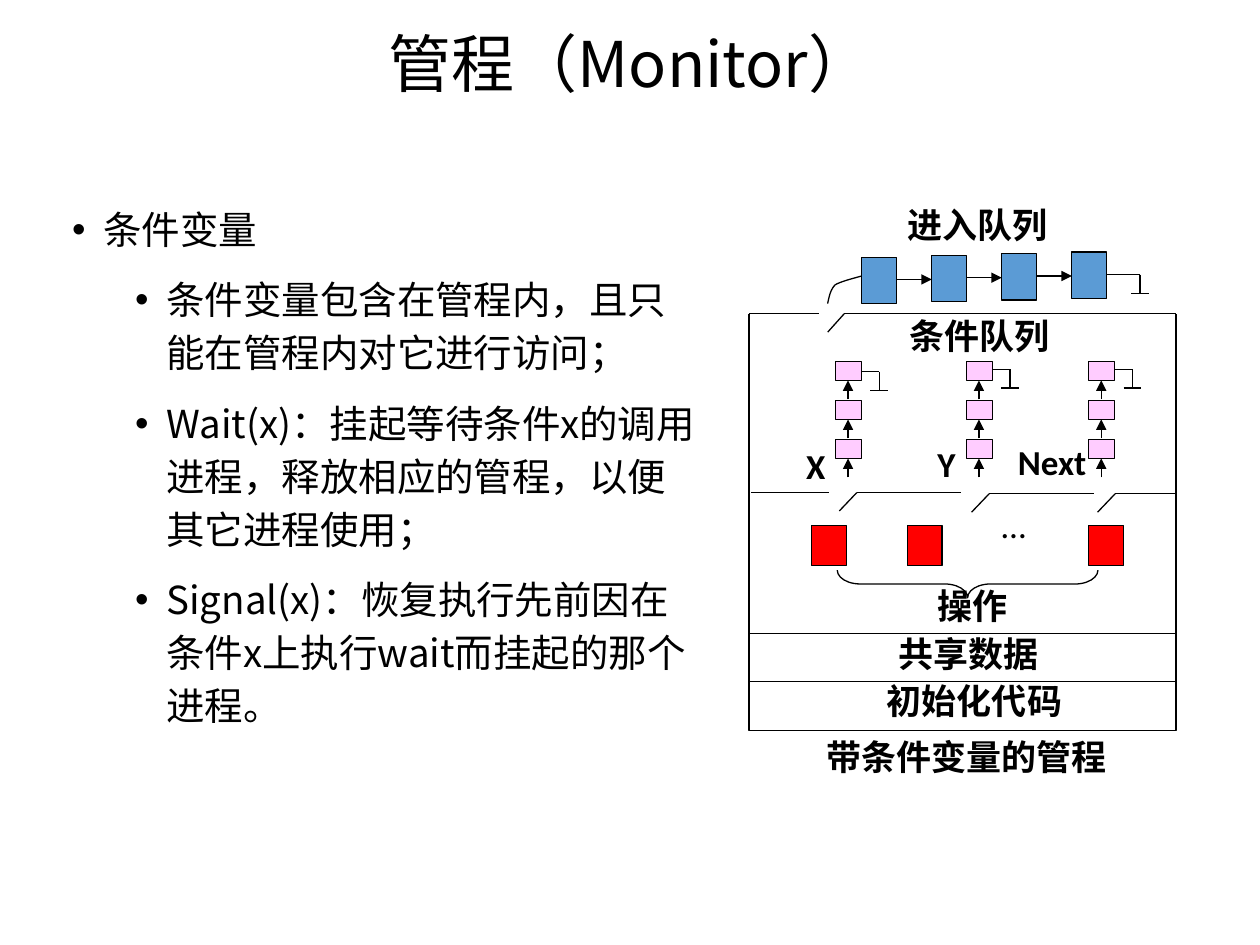
from lxml import etree
from pptx import Presentation
from pptx.dml.color import RGBColor
from pptx.enum.shapes import MSO_CONNECTOR, MSO_SHAPE
from pptx.enum.text import MSO_ANCHOR, MSO_AUTO_SIZE, PP_ALIGN
from pptx.oxml.ns import qn
from pptx.util import Pt

STRAIGHT = MSO_CONNECTOR.STRAIGHT
RECT, BRACE = MSO_SHAPE.RECTANGLE, MSO_SHAPE.RIGHT_BRACE
LEFT, CENTER = PP_ALIGN.LEFT, PP_ALIGN.CENTER
TOP, MIDDLE = MSO_ANCHOR.TOP, MSO_ANCHOR.MIDDLE
NO_FIT = MSO_AUTO_SIZE.NONE

BLACK = RGBColor(0, 0, 0)
BLUE = RGBColor(0x5B, 0x9B, 0xD5)
PINK = RGBColor(0xFF, 0xCC, 0xFF)
RED = RGBColor(0xFF, 0, 0)
CJK = "Noto Sans CJK SC"

BULLETS = [
    (0, "条件变量"),
    (1, "条件变量包含在管程内，且只能在管程内对它进行访问；"),
    (1, "Wait(x)：挂起等待条件x的调用进程，释放相应的管程，以便其它进程使用；"),
    (1, "Signal(x)：恢复执行先前因在条件x上执行wait而挂起的那个进程。"),
]
# text, left, top, width, alignment, bold
LABELS = [
    ("进入队列", 83.2, 0, 104.4, LEFT, True),
    ("条件队列", 69.5, 63.4, 124.6, CENTER, True),
    ("X", 25.6, 137.6, 29.5, LEFT, True),
    ("Y", 100.5, 136.1, 29.5, LEFT, True),
    ("Next", 146.6, 135.4, 64.8, LEFT, True),
    ("…", 137.2, 171.4, 39.6, LEFT, False),
    ("操作", 100.5, 217.5, 59.8, LEFT, True),
    ("共享数据", 78.2, 244.8, 109.4, LEFT, True),
    ("初始化代码", 71.7, 271.5, 122.4, LEFT, True),
    ("带条件变量的管程", 18.4, 303.9, 211.7, CENTER, True),
]


def set_format(obj, **values):
    for name, value in values.items():
        setattr(obj, name, value)


def add_run(p, text, font, size, bold=False):
    r = p.add_run()
    r.text = text
    set_format(r.font, name=font, size=Pt(size), bold=bold)
    r.font.color.rgb = BLACK
    if font == CJK:
        etree.SubElement(r.font._element, qn("a:ea"), typeface=font)


def place(sp, left, top, width, height):
    set_format(sp, left=Pt(left), top=Pt(top), width=Pt(width), height=Pt(height))


def fill_title(sp, left, top, width, height):
    place(sp, left, top, width, height)
    set_format(sp.text_frame, auto_size=NO_FIT, vertical_anchor=MIDDLE, word_wrap=True)
    p = sp.text_frame.paragraphs[0]
    set_format(p, alignment=CENTER, line_spacing=0.9)
    add_run(p, "管程（Monitor）", CJK, 36)


def fill_body(sp, left, top, width, height):
    place(sp, left, top, width, height)
    tf = sp.text_frame
    set_format(tf, auto_size=NO_FIT, vertical_anchor=TOP, word_wrap=True)
    for i, (level, text) in enumerate(BULLETS):
        p = tf.add_paragraph() if i else tf.paragraphs[0]
        set_format(p, level=level, alignment=LEFT, line_spacing=Pt(30.3),
                   space_before=Pt(10 if i else 0), space_after=Pt(0))
        pPr = p._p.get_or_add_pPr()
        pPr.set("marL", str(Pt(18 + 36 * level)))
        pPr.set("indent", str(Pt(-18)))
        etree.SubElement(pPr, qn("a:buFont"), typeface="Arial")
        etree.SubElement(pPr, qn("a:buChar"), char="•")
        add_run(p, text, CJK, 22)


def bezier(p0, p1, p2, p3, steps=12):
    for i in range(1, steps + 1):
        t = i / steps
        yield tuple((1 - t) ** 3 * a + 3 * (1 - t) ** 2 * t * b
                    + 3 * (1 - t) * t * t * c + t ** 3 * d
                    for a, b, c, d in zip(p0, p1, p2, p3))


def draw_monitor(slide, left, top, width):
    shapes = slide.shapes

    def outline(sp, color=None):
        sp.shadow.inherit = False
        if color is None:
            sp.fill.background()
        else:
            sp.fill.solid()
            sp.fill.fore_color.rgb = color
        sp.line.color.rgb = BLACK
        sp.line.width = Pt(0.75)

    def box(x, y, w, h, color=None, kind=RECT):
        sp = shapes.add_shape(kind, Pt(left + x), Pt(top + y), Pt(w), Pt(h))
        outline(sp, color)
        return sp

    def line(x1, y1, x2, y2, arrow=False):
        s = shapes.add_connector(STRAIGHT, Pt(left + x1), Pt(top + y1),
                                 Pt(left + x2), Pt(top + y2))
        s.line.color.rgb = BLACK
        s.line.width = Pt(0.75)
        if arrow:
            etree.SubElement(s.line._get_or_add_ln(), qn("a:tailEnd"), type="triangle")
        etree.SubElement(s._element.spPr, qn("a:effectLst"))

    def queue_end(x, y, length):
        line(x, y, x + length, y)
        line(x + length, y, x + length, y + 10.8)
        line(x + length - 5, y + 10.8, x + length + 5, y + 10.8)

    def gate(x, y, dx):
        line(x, y, x - dx, y + 10.5)

    # Entry queue
    for i in range(4):
        x = 64.5 + 40 * i
        box(x, 34 - i, 20, 26.5, BLUE)
        if i < 3:
            line(x + 20, 46.7 - i, x + 40, 46.7 - i, arrow=True)
    queue_end(204.5, 44, 19)
    start, bend, end = (45, 60.5), (49.4, 49.7), (64.5, 44.7)
    points = [*bezier(start, (45.8, 56.9), (46.4, 52.6), bend),
              *bezier(bend, (53, 47.6), (62.3, 45.4), end)]
    fb = shapes.build_freeform(Pt(left + start[0]), Pt(top + start[1]))
    fb.add_line_segments([(Pt(left + x), Pt(top + y)) for x, y in points], close=False)
    outline(fb.convert_to_shape())

    # Frame with its entry gate
    line(0, 66.3, 40, 66.3)
    gate(54.4, 66.3, 9.4)
    line(54.4, 66.3, width, 66.3)
    for x in (0, width):
        line(x, 66.3, x, 249.2)
    box(0, 249.2, width, 55.4)
    line(0, 276.5, width, 276.5)

    # Condition queues
    for x, end_y in ((49.4, 99.4), (124.2, 98), (194.1, 98)):
        for i in range(3):
            y = 93.6 + 22.3 * i
            box(x, y, 15, 10.8, PINK)
            line(x + 7.2, y + 21.6, x + 7.2, y + 10.8, arrow=True)
        queue_end(x + 15, end_y, 10)

    # Gates under the condition queues
    for x1, x2, y in ((1.4, 46, 168.5), (61.6, 121.4, 168.5),
                      (137.2, 197, 169.2), (209.2, width, 169.2)):
        line(x1, y, x2, y)
        if x1 > 10:
            gate(x1, y, 10)

    # Operations
    for x in (35.7, 90.4, 194.1):
        box(x, 187.2, 20, 23, RED)
    brace = box(117, 146.2, 15.8, 149, kind=BRACE)
    brace.rotation = 90
    brace.adjustments[0] = 0.83

    # Labels
    for text, x, y, w, align, bold in LABELS:
        tf = shapes.add_textbox(Pt(left + x), Pt(top + y), Pt(w), Pt(31)).text_frame
        tf.word_wrap = True
        tf.paragraphs[0].alignment = align
        add_run(tf.paragraphs[0], text, "Calibri", 20, bold)


def main():
    prs = Presentation()
    set_format(prs, slide_width=Pt(720), slide_height=Pt(540))
    slide = prs.slides.add_slide(prs.slide_layouts[1])
    fill_title(slide.shapes.title, 50, 11, 620, 55)
    fill_body(slide.placeholders[1], 34, 110, 374, 313)
    draw_monitor(slide, 428, 113, 244)
    prs.save("out.pptx")


if __name__ == "__main__":
    main()
